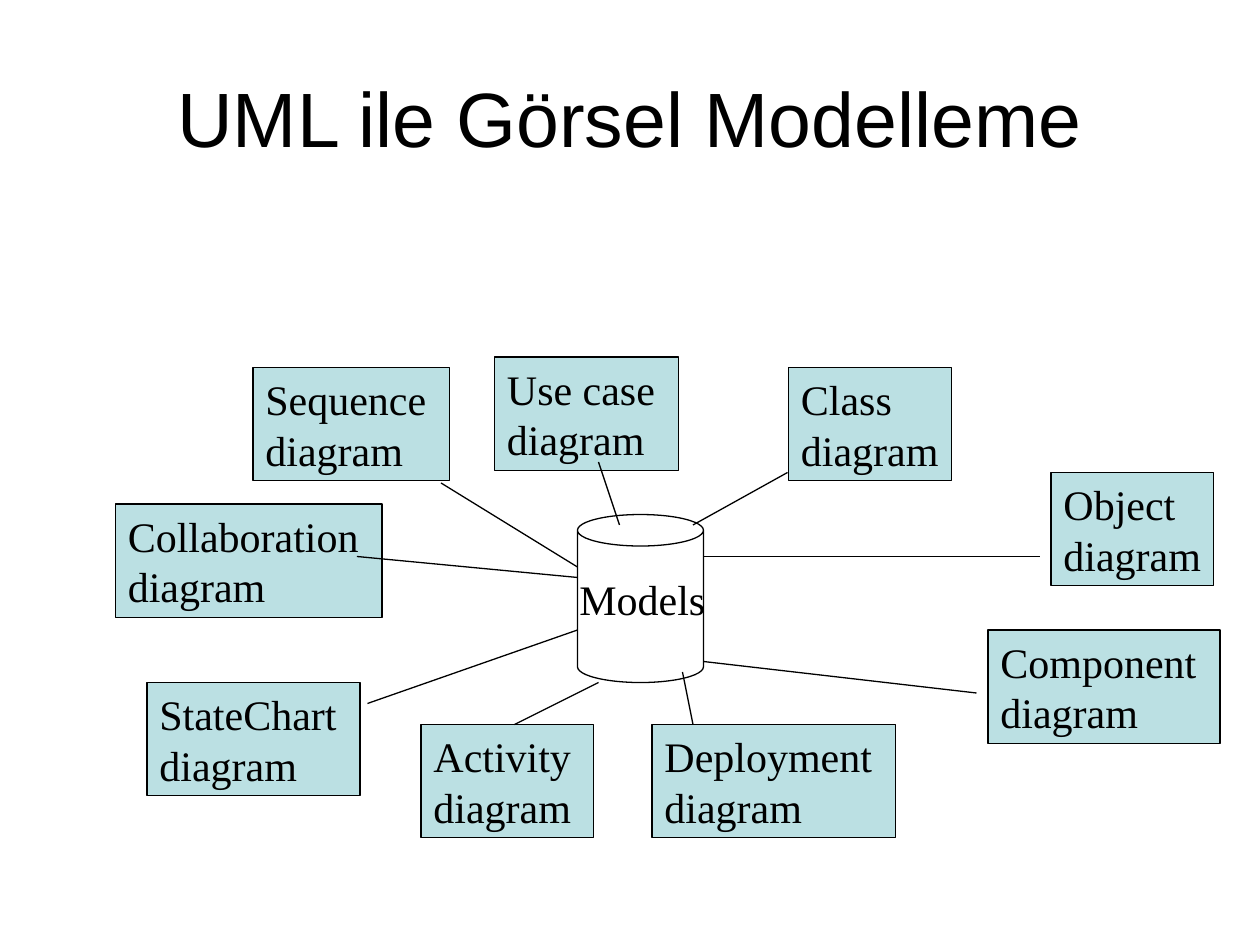
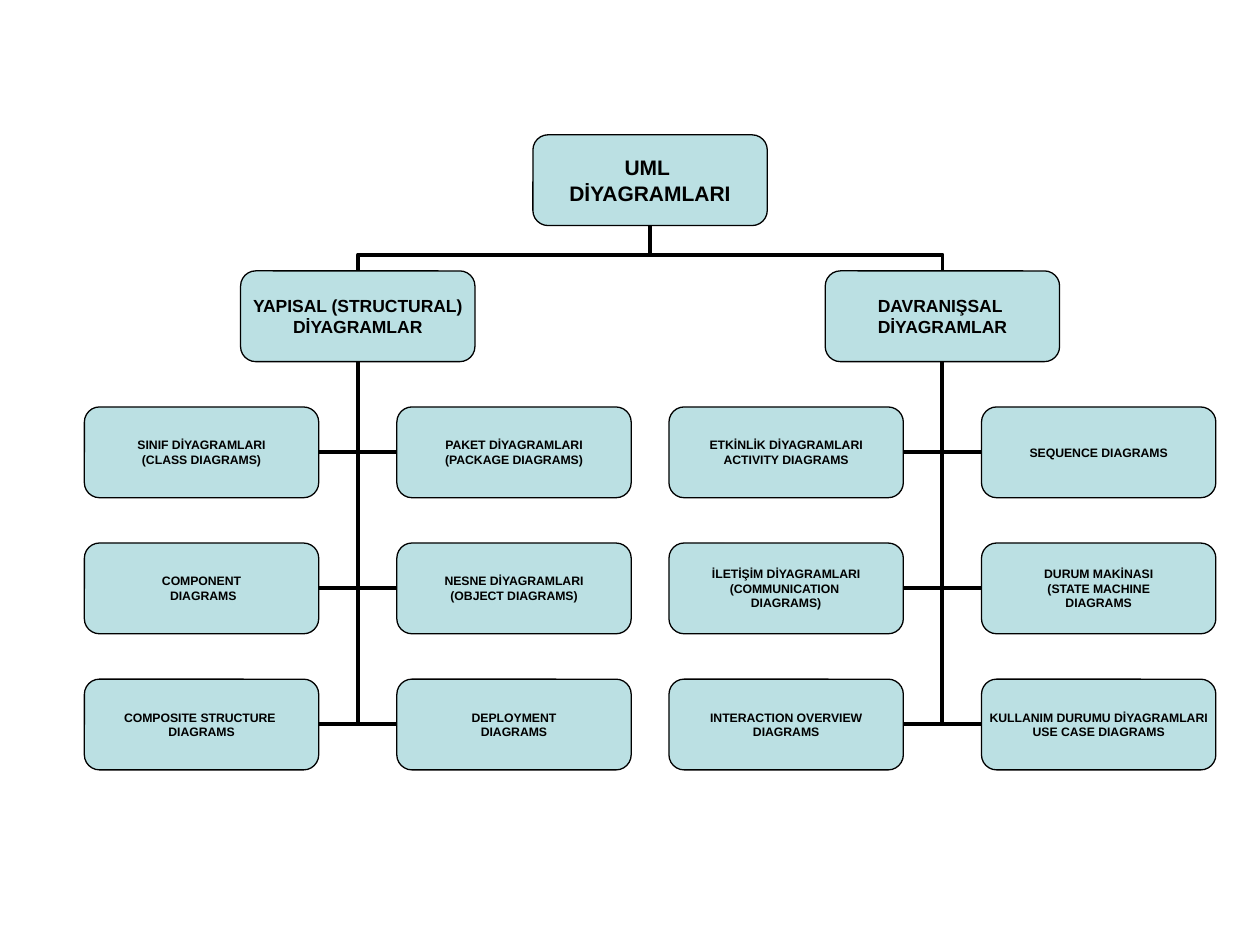
"""Build two slides on UML: a hub of diagram types and a tree of diagram families."""
from dataclasses import dataclass

from lxml import etree
from pptx import Presentation
from pptx import util as u
from pptx.dml.color import RGBColor
from pptx.enum import shapes, text
from pptx.oxml.ns import qn


@dataclass(frozen=True)
class Theme:
    ink: RGBColor = RGBColor(0, 0, 0)
    fill: RGBColor = RGBColor(0xBB, 0xE0, 0xE3)
    sans: str = "Arial"
    serif: str = "Times New Roman"
    title: int = 44
    hub: int = 24
    root: int = 12
    family: int = 10
    leaf: int = 7
    thin: float = 0.75
    thick: float = 2.25


theme = Theme()
prs = Presentation()
prs.slide_width, prs.slide_height = u.Inches(10), u.Inches(7.5)
CELL = prs.slide_width / 120
KIND = shapes.MSO_SHAPE


def set_text(frame, label, font, size, bold=False, centred=True):
    """Write a label, one paragraph a line, and format it."""
    frame.text = label
    frame.word_wrap = not centred
    frame.vertical_anchor = text.MSO_ANCHOR.MIDDLE if centred else text.MSO_ANCHOR.TOP
    frame.margin_left = 0 if centred else u.Inches(0.1)
    frame.margin_top = 0 if centred else u.Inches(0.05)
    frame.margin_right = frame.margin_bottom = 0
    for paragraph in frame.paragraphs:
        paragraph.alignment = text.PP_ALIGN.CENTER if centred else text.PP_ALIGN.LEFT
        for run in paragraph.runs:
            run.font.name, run.font.size, run.font.bold = font, u.Pt(size), bold
            run.font.color.rgb = theme.ink


def style(item, weight, fill=None):
    """Give a shape or connector its outline, fill and no shadow."""
    item.line.color.rgb = theme.ink
    item.line.width = u.Pt(weight)
    if isinstance(item, type(None)) or not hasattr(item, "fill"):
        etree.SubElement(item._element.spPr, qn("a:effectLst"))
        return
    item.shadow.inherit = False
    if fill is None:
        item.fill.background()
    else:
        item.fill.solid()
        item.fill.fore_color.rgb = fill


hub_slide = prs.slides.add_slide(prs.slide_layouts[5])
heading = hub_slide.shapes.title
heading.left, heading.top = u.Inches(0.5), u.Inches(0.3)
heading.width, heading.height = u.Inches(9), u.Inches(1.25)
set_text(heading.text_frame, "UML ile Görsel Modelleme", theme.sans, theme.title)

models = hub_slide.shapes.add_shape(
    KIND.CAN, *(int(n * CELL) for n in (55, 49, 12, 16)))
models.adjustments[0] = 0.25
style(models, theme.thin)
models_label = hub_slide.shapes.add_textbox(
    *(int(n * CELL) for n in (54, 54, 14.4, 6)))
set_text(models_label.text_frame, "Models", theme.serif, theme.hub, centred=False)

# name, column, row, width, then the spoke from the box to the models
diagrams = [
    ("Sequence", 24.1, 35, 18.7, (42, 46, 55, 54)),
    ("StateChart", 14, 65, 20.3, (35, 67, 55, 60)),
    ("Collaboration", 11, 48, 25.4, (34, 53, 55, 55)),
    ("Use case", 47.1, 34, 17.5, (57, 44, 59, 50)),
    ("Class", 75.1, 35, 15.5, (75, 45, 66, 50)),
    ("Object", 100.1, 45, 15.5, (99, 53, 67, 53)),
    ("Component", 94.1, 60, 22.1, (93, 66, 67, 63)),
    ("Deployment", 62.1, 69, 23.2, (66, 69, 65, 64)),
    ("Activity", 40.1, 69, 16.4, (49, 69, 57, 65)),
]
for name, column, row, width, _ in diagrams:
    diagram = hub_slide.shapes.add_shape(
        KIND.RECTANGLE, *(int(n * CELL) for n in (column, row, width, 10.8)))
    style(diagram, theme.thin, theme.fill)
    set_text(diagram.text_frame, name + "\ndiagram", theme.serif, theme.hub, centred=False)
for *_, ends in diagrams:
    spoke = hub_slide.shapes.add_connector(
        shapes.MSO_CONNECTOR.STRAIGHT, *(int(n * CELL) for n in ends))
    style(spoke, theme.thin)

tree_slide = prs.slides.add_slide(prs.slide_layouts[6])
LEFT, TOP = 0.67, 1.07
BOX_W, BOX_H = 1.86, 0.72
COLUMN, ROW, FAMILY = 2.48, 1.08, 4.64

families = [
    ("YAPISAL (STRUCTURAL)\nDİYAGRAMLAR", [
        "SINIF DİYAGRAMLARI\n(CLASS DIAGRAMS)", "PAKET DİYAGRAMLARI\n(PACKAGE DIAGRAMS)",
        "COMPONENT\n DIAGRAMS", "NESNE DİYAGRAMLARI\n(OBJECT DIAGRAMS)",
        "COMPOSITE STRUCTURE \nDIAGRAMS", "DEPLOYMENT\nDIAGRAMS"]),
    ("DAVRANIŞSAL \nDİYAGRAMLAR", [
        "ETKİNLİK DİYAGRAMLARI\nACTIVITY DIAGRAMS", "SEQUENCE DIAGRAMS",
        "İLETİŞİM DİYAGRAMLARI\n(COMMUNICATION \nDIAGRAMS)",
        "DURUM MAKİNASI\n(STATE MACHINE\nDIAGRAMS",
        "INTERACTION OVERVIEW\nDIAGRAMS",
        "KULLANIM DURUMU DİYAGRAMLARI\nUSE CASE DIAGRAMS"]),
]
nodes = [("UML \nDİYAGRAMLARI", LEFT + (COLUMN + FAMILY) / 2, 0, theme.root, None, 0)]
for index, (family, leaves) in enumerate(families):
    start = LEFT + index * FAMILY
    parent = len(nodes)
    nodes.append((family, start + COLUMN / 2, 1, theme.family, 0, 0))
    for place, leaf in enumerate(leaves):
        row, side = divmod(place, 2)
        nodes.append((leaf, start + side * COLUMN, row + 2, theme.leaf, parent,
                      1 if side else 3))

boxes = []
for label, x, row, size, parent, site in nodes:
    box = tree_slide.shapes.add_shape(
        KIND.ROUNDED_RECTANGLE, u.Inches(x), u.Inches(TOP + row * ROW),
        u.Inches(BOX_W), u.Inches(BOX_H))
    style(box, theme.thin, theme.fill)
    set_text(box.text_frame, label, theme.sans, size, bold=True)
    boxes.append(box)
    if parent is None:
        continue
    branch = tree_slide.shapes.add_connector(shapes.MSO_CONNECTOR.ELBOW, 0, 0, 0, 0)
    branch.begin_connect(box, site)
    branch.end_connect(boxes[parent], 2)
    style(branch, theme.thick)
    geometry = branch._element.spPr.find(qn("a:prstGeom"))
    if site:
        geometry.set("prst", "bentConnector2")
    else:
        on_left = branch.begin_x < branch.end_x
        middle_x = branch.left + branch.width // 2
        middle_y = branch.top + branch.height // 2
        branch.width, branch.height = branch.height, branch.width
        branch.left = middle_x - branch.width // 2
        branch.top = middle_y - branch.height // 2
        turn = branch._element.spPr.find(qn("a:xfrm"))
        turn.set("rot", str((90 if on_left else 270) * 60000))
        turn.set("flipH", "1" if on_left else "0")
        turn.set("flipV", "1")
        guides = geometry.find(qn("a:avLst"))
        etree.SubElement(guides, qn("a:gd"), name="adj1", fmla="val 35700")
    tree_slide.shapes._spTree.insert(2, branch._element)

prs.save("out.pptx")
